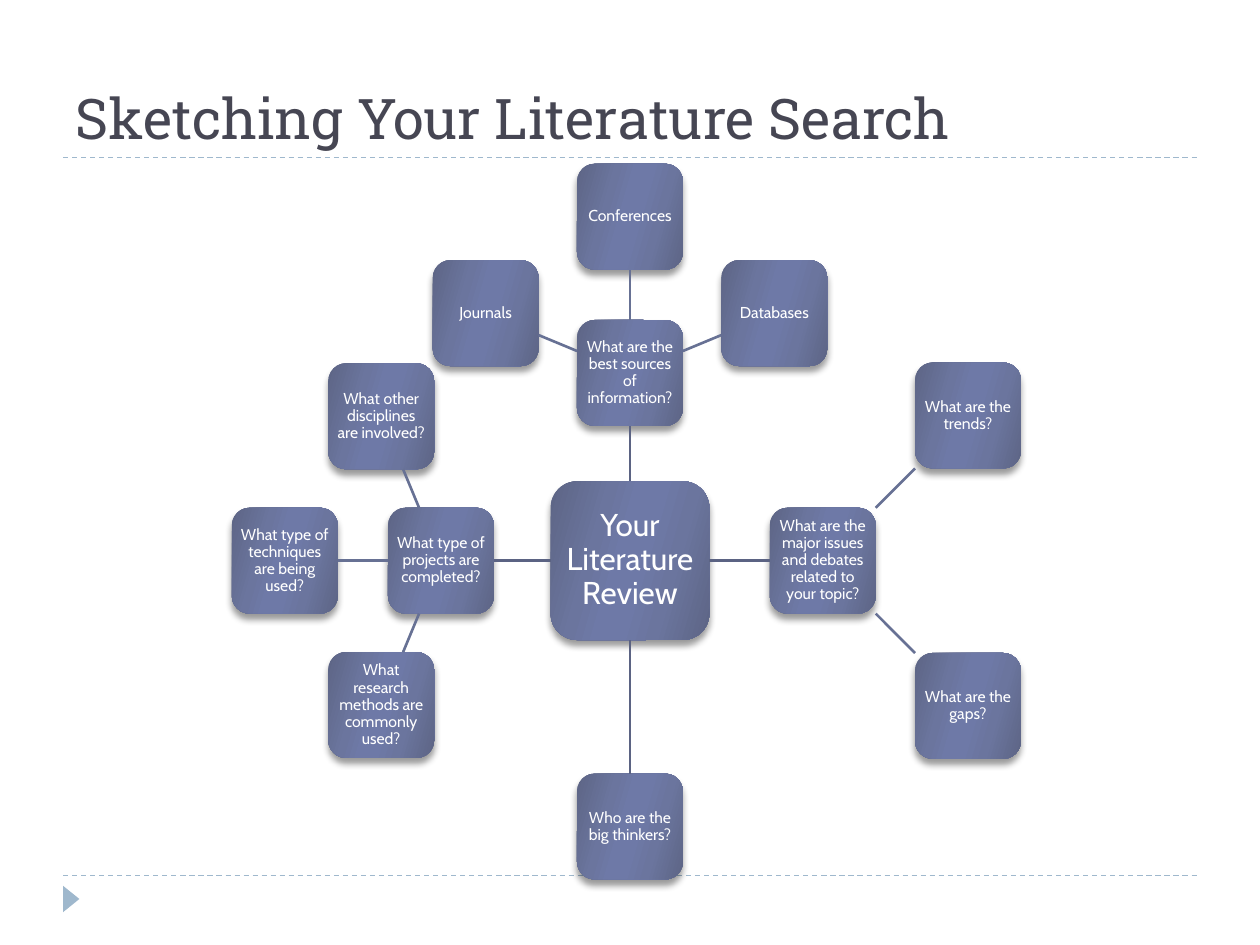
import math

import pptx
import pptx.dml.color
import pptx.enum.dml
import pptx.enum.shapes
import pptx.enum.text
import pptx.oxml
import pptx.oxml.ns
import pptx.util

Inches = pptx.util.Inches
Pt = pptx.util.Pt
RGBColor = pptx.dml.color.RGBColor
SHAPE = pptx.enum.shapes.MSO_SHAPE
STRAIGHT = pptx.enum.shapes.MSO_CONNECTOR.STRAIGHT
ANCHOR = pptx.enum.text.MSO_ANCHOR
ALIGN = pptx.enum.text.PP_ALIGN
qn = pptx.oxml.ns.qn

# Content: angles run clockwise from the right, distances are between centres
TITLE = "Sketching Your Literature Search"
HUB = "Your Literature Review"
# (text, angle, distance from hub, distance to leaves, leaves as (text, angle))
BRANCHES = [
    ("What are the best sources of information?", 270, 1.49, 1.24, [
        ("Journals", 202.5), ("Conferences", 270), ("Databases", 337.5)]),
    ("What are the major issues and debates related to your topic?", 0, 1.53, 1.63, [
        ("What are the trends?", 315), ("What are the gaps?", 45)]),
    ("Who are the big thinkers?", 90, 2.11, 0, []),
    ("What type of projects are completed?", 180, 1.5, 1.24, [
        ("What research methods are commonly used?", 112.5),
        ("What type of techniques are being used?", 180),
        ("What other disciplines are involved?", 247.5)]),
]

# Style
TITLE_COLOR = RGBColor(0x46, 0x46, 0x53)
RULE_COLOR = RGBColor(0x9F, 0xB8, 0xCD)
WHITE = RGBColor(0xFF, 0xFF, 0xFF)
HUB_LINK = RGBColor(0x5B, 0x63, 0x83)
LEAF_LINK = RGBColor(0x67, 0x71, 0x94)
GRADIENT = [(0, "5D6585"), (30, "6B759E"), (45, "6E79A7"),
            (55, "6E79A7"), (73, "6B759E"), (100, "5D6585")]
GRADIENT_ANGLE = 16
HUB_CENTER = (5, 4.45)
HUB_STYLE = {"side": 1.26, "size": 18, "inset": 0.05}
NODE_STYLE = {"side": 0.84, "size": 9, "inset": 0.03}
NS = 'xmlns:a="http://schemas.openxmlformats.org/drawingml/2006/main"'


def apply(target, values):
    for name, value in values.items():
        setattr(target, name, value)


def add_line(page, start, end, color, width):
    line = page.shapes.add_connector(STRAIGHT, *map(Inches, (*start, *end)))
    line.line.color.rgb = color
    line.line.width = Pt(width)
    line._element.spPr.append(pptx.oxml.parse_xml(f"<a:effectLst {NS}/>"))
    return line


def add_node(page, text, center, style):
    side = style["side"]
    box = page.shapes.add_shape(
        SHAPE.ROUNDED_RECTANGLE, Inches(center[0] - side / 2),
        Inches(center[1] - side / 2), Inches(side), Inches(side))
    box.line.fill.background()

    # Six-stop gradient and soft shadow below
    box.fill.gradient()
    properties = box._element.spPr
    stops = "".join(f'<a:gs pos="{pos * 1000}"><a:srgbClr val="{color}"/></a:gs>'
                    for pos, color in GRADIENT)
    properties.replace(properties.find(qn("a:gradFill")), pptx.oxml.parse_xml(
        f'<a:gradFill {NS} rotWithShape="1"><a:gsLst>{stops}</a:gsLst>'
        f'<a:lin ang="{GRADIENT_ANGLE * 60000}" scaled="0"/></a:gradFill>'))
    box.shadow.inherit = False
    properties.find(qn("a:effectLst")).append(pptx.oxml.parse_xml(
        f'<a:outerShdw {NS} blurRad="{Pt(4)}" dist="{Pt(3.4)}" dir="5400000" '
        'rotWithShape="0"><a:srgbClr val="000000"><a:alpha val="40000"/>'
        '</a:srgbClr></a:outerShdw>'))

    frame = box.text_frame
    frame.text = text
    inset = Inches(style["inset"])
    apply(frame, {"word_wrap": True, "vertical_anchor": ANCHOR.MIDDLE,
                  "margin_left": inset, "margin_right": inset,
                  "margin_top": inset, "margin_bottom": inset})
    para = frame.paragraphs[0]
    apply(para, {"alignment": ALIGN.CENTER, "line_spacing": 0.9})
    apply(para.font, {"name": "Cabin", "size": Pt(style["size"])})
    para.font.color.rgb = WHITE
    return box


def move(point, angle, distance):
    turn = math.radians(angle)
    return (point[0] + distance * math.cos(turn),
            point[1] + distance * math.sin(turn))


def edge(center, angle, side):
    """Point where a ray from the centre leaves a square."""
    turn = math.radians(angle)
    reach = side / 2 / max(abs(math.cos(turn)), abs(math.sin(turn)))
    return move(center, angle, reach)


def add_child(page, parent, center, parent_style, text, angle, distance, color):
    """Add a node at an angle from its parent, linked edge to edge."""
    child_center = move(center, angle, distance)
    child = add_node(page, text, child_center, NODE_STYLE)
    link = add_line(page, edge(center, angle, parent_style["side"]),
                    edge(child_center, angle + 180, NODE_STYLE["side"]), color, 1.5)
    if angle % 90 == 0:
        site = 3 - angle // 90
        link.begin_connect(parent, site)
        link.end_connect(child, (site + 2) % 4)
    return child, child_center


deck = pptx.Presentation()
deck.slide_width, deck.slide_height = Inches(10), Inches(7.5)
page = deck.slides.add_slide(deck.slide_layouts[5])

# Dashed rules and corner marker
for y in (1.25, 6.95):
    rule = add_line(page, (0.5, y), (9.5, y), RULE_COLOR, 0.75)
    rule.line.dash_style = pptx.enum.dml.MSO_LINE.DASH
marker = page.shapes.add_shape(SHAPE.ISOSCELES_TRIANGLE, Inches(0.46), Inches(7.07),
                               Inches(0.21), Inches(0.13))
marker.rotation = 90
marker.shadow.inherit = False
marker.fill.solid()
marker.fill.fore_color.rgb = RULE_COLOR
marker.line.fill.background()

# Title
title = page.shapes.title
apply(title, {"left": Inches(0.5), "top": Inches(0.25),
              "width": Inches(9), "height": Inches(1)})
title.text_frame.text = TITLE
title.text_frame.vertical_anchor = ANCHOR.BOTTOM
heading = title.text_frame.paragraphs[0]
heading.alignment = ALIGN.LEFT
apply(heading.font, {"name": "Roboto Slab", "size": Pt(32)})
heading.font.color.rgb = TITLE_COLOR

# Mind map
hub = add_node(page, HUB, HUB_CENTER, HUB_STYLE)
for text, angle, distance, leaf_distance, leaves in BRANCHES:
    branch, branch_center = add_child(page, hub, HUB_CENTER, HUB_STYLE,
                                      text, angle, distance, HUB_LINK)
    for leaf_text, leaf_angle in leaves:
        add_child(page, branch, branch_center, NODE_STYLE,
                  leaf_text, leaf_angle, leaf_distance, LEAF_LINK)

deck.save("out.pptx")
